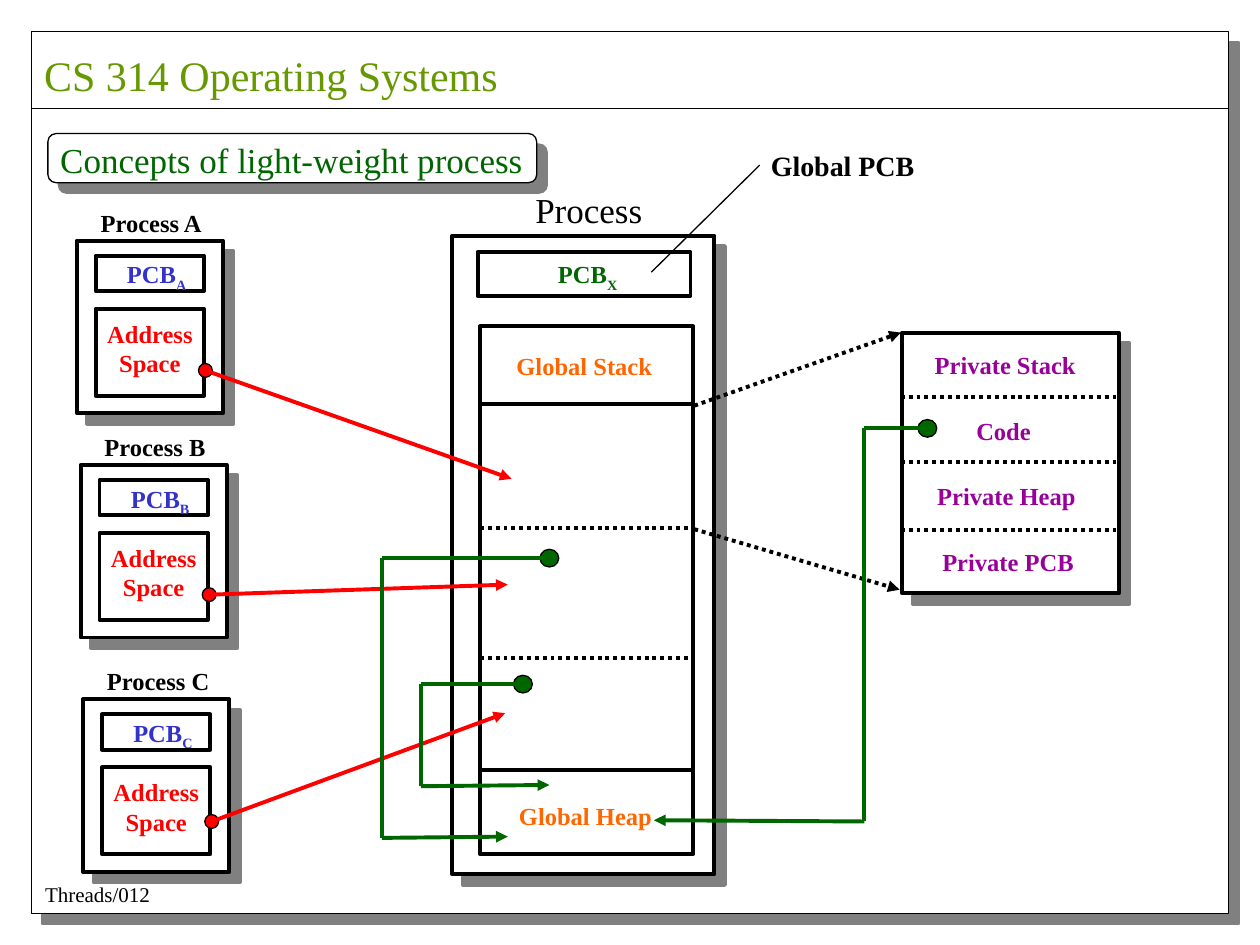
import pptx
import pptx.dml.color
import pptx.enum.dml
import pptx.enum.shapes
import pptx.enum.text
import pptx.oxml
import pptx.oxml.ns
import pptx.util
from pptx.util import Inches

FONT = "Times New Roman"
BLACK, WHITE, GRAY = "000000", "FFFFFF", "808080"
RED, GREEN, BLUE = "FF0000", "006600", "3333CC"
ORANGE, PURPLE, OLIVE = "FF6600", "990099", "669900"
THIN, THICK = 0.75, 2.25
SHAPE = pptx.enum.shapes.MSO_SHAPE
ALIGN = pptx.enum.text.PP_ALIGN
NAMESPACE = pptx.oxml.ns.nsdecls("a")

# name, left, top, height of the dot's centre below the top, arrow target
PROCESSES = [
    ("A", 0.61, 1.91, 1.03, (4.06, 3.80)),
    ("B", 0.64, 3.69, 1.03, (4.03, 4.64)),
    ("C", 0.66, 5.55, 0.97, (4.01, 5.66)),
]
# top and dotted flag of the lines that divide the shared memory
MEMORY_LINES = [(3.21, False), (4.19, True), (5.22, True), (6.11, False)]
PRIVATE_LINES = [3.15, 3.67, 4.21]
ZOOM_ARROWS = [[(5.51, 3.22), (7.15, 2.64)], [(5.51, 4.20), (7.14, 4.68)]]
# each route starts at a dot and ends in an arrowhead
HEAP_ROUTES = [
    [(7.36, 3.40), (6.86, 3.40), (6.86, 6.52), (5.19, 6.51)],
    [(4.36, 4.43), (3.03, 4.43), (3.03, 6.65), (4.03, 6.64)],
    [(4.15, 5.43), (3.34, 5.43), (3.34, 6.24), (4.36, 6.23)],
]
# text, box, colour
REGION_LABELS = [
    ("Global Stack", (4.00, 2.74, 1.35, 0.34), ORANGE),
    ("Global Heap", (4.02, 6.31, 1.35, 0.34), ORANGE),
    ("Private Stack", (7.32, 2.73, 1.40, 0.34), PURPLE),
    ("Code", (7.65, 3.25, 0.70, 0.34), PURPLE),
    ("Private Heap", (7.34, 3.77, 1.40, 0.34), PURPLE),
    ("Private PCB", (7.38, 4.29, 1.35, 0.34), PURPLE),
]

deck = pptx.Presentation()
deck.slide_width, deck.slide_height = Inches(10), Inches(7.5)
page = deck.slides.add_slide(deck.slide_layouts[5])
shapes = page.shapes


def color(value):
    return pptx.dml.color.RGBColor.from_string(value)


def add_box(at, line=THICK, fill=WHITE, kind=SHAPE.RECTANGLE, shadow=False):
    box = shapes.add_shape(kind, *map(Inches, at))
    box.fill.solid()
    box.fill.fore_color.rgb = color(fill)
    box.line.color.rgb = color(BLACK)
    box.line.width = pptx.util.Pt(line)
    box.shadow.inherit = False
    if shadow:
        effects = box._element.spPr.find(pptx.oxml.ns.qn("a:effectLst"))
        effects.append(pptx.oxml.parse_xml(
            f'<a:outerShdw {NAMESPACE} blurRad="0" dist="{pptx.util.Pt(8.5)}" dir="2700000" '
            f'algn="ctr" rotWithShape="0"><a:srgbClr val="{GRAY}"/></a:outerShdw>'))


def add_dot(center, width, height, fill):
    x, y = center
    add_box((x - width / 2, y - height / 2, width, height), THIN, fill, SHAPE.OVAL)


def add_line(start, end, ink=BLACK, width=THICK, dotted=False, arrow=False):
    line = shapes.add_connector(
        pptx.enum.shapes.MSO_CONNECTOR.STRAIGHT, *map(Inches, (*start, *end)))
    line.line.color.rgb = color(ink)
    line.line.width = pptx.util.Pt(width)
    if dotted:
        line.line.dash_style = pptx.enum.dml.MSO_LINE.ROUND_DOT
    properties = line._element.spPr
    if arrow:
        properties.find(pptx.oxml.ns.qn("a:ln")).append(
            pptx.oxml.parse_xml(f'<a:tailEnd {NAMESPACE} type="triangle"/>'))
    properties.append(pptx.oxml.parse_xml(f'<a:effectLst {NAMESPACE}/>'))


def write(box, text, size, ink, bold=False, align=ALIGN.LEFT, subscript=""):
    frame = box.text_frame
    frame.text = text
    frame.word_wrap = True
    frame.auto_size = pptx.enum.text.MSO_AUTO_SIZE.NONE
    frame.vertical_anchor = pptx.enum.text.MSO_ANCHOR.TOP
    if subscript:
        span = frame.paragraphs[0].add_run()
        span.text = subscript
        span._r.get_or_add_rPr().set("baseline", "-25000")
    for para in frame.paragraphs:
        para.alignment = align
        for span in para.runs:
            span.font.name = FONT
            span.font.size = pptx.util.Pt(size)
            span.font.bold = bold
            span.font.color.rgb = color(ink)


def add_label(at, *args, **options):
    write(shapes.add_textbox(*map(Inches, at)), *args, **options)


# Page frame, title and footer
add_box((0.25, 0.25, 9.5, 7), THIN, shadow=True)
title = shapes.title
title.left, title.top, title.width, title.height = map(Inches, (0.25, 0.34, 4.2, 0.5))
write(title, "CS 314 Operating Systems", 24, OLIVE)
shapes._spTree.append(title._element)  # in front of the frame
add_line((0.25, 0.86), (9.75, 0.86), width=THIN)
add_label((0.26, 6.95, 1.2, 0.3), "Threads/012", 12, BLACK)
add_box((0.38, 1.06, 3.88, 0.39), THIN, kind=SHAPE.ROUNDED_RECTANGLE, shadow=True)
add_label((0.38, 1.05, 4.1, 0.44), "Concepts of light-weight process", 20, GREEN)

# Process with the shared memory
add_label((4.15, 1.45, 1.2, 0.44), "Process", 20, BLACK)
add_box((3.59, 1.87, 2.08, 5.07), shadow=True)
add_box((3.81, 2.59, 1.69, 4.19))
for top, dotted in MEMORY_LINES:
    add_line((3.81, top), (5.49, top), dotted=dotted)
add_box((3.79, 2.0, 1.69, 0.35))
add_label((4.33, 2.01, 0.8, 0.37), "PCB", 14, GREEN, bold=True, subscript="X")

# Light-weight processes
for name, left, top, dot_drop, target in PROCESSES:
    add_box((left, top, 1.16, 1.37), shadow=True)
    add_box((left + 0.15, top + 0.12, 0.86, 0.28))
    add_box((left + 0.15, top + 0.54, 0.86, 0.69))
    add_label((left + 0.3, top + 0.1, 0.8, 0.37), "PCB", 14, BLUE,
              bold=True, subscript=name)
    add_label((left + 0.08, top + 0.57, 1.0, 0.57), "Address\nSpace", 14, RED,
              bold=True, align=ALIGN.CENTER)
    add_label((left + 0.09, top - 0.31, 1.15, 0.34), f"Process {name}", 14, BLACK, bold=True)
    dot = (left + 1.02, top + dot_drop)
    add_dot(dot, 0.11, 0.11, RED)
    add_line(dot, target, RED, arrow=True)

# Private memory
add_box((7.16, 2.64, 1.72, 2.07), shadow=True)
for start, end in ZOOM_ARROWS:
    add_line(start, end, dotted=True, arrow=True)
for top in PRIVATE_LINES:
    add_line((7.15, top), (8.87, top), dotted=True)

for route in HEAP_ROUTES:
    add_dot(route[0], 0.15, 0.14, GREEN)
    for start, end in zip(route, route[1:]):
        add_line(start, end, GREEN, arrow=end == route[-1])

for text, at, ink in REGION_LABELS:
    add_label(at, text, 14, ink, bold=True)
add_label((6.02, 1.13, 1.5, 0.37), "Global PCB", 16, BLACK, bold=True)
add_line((6.03, 1.31), (5.17, 2.16), width=THIN)

deck.save("out.pptx")
